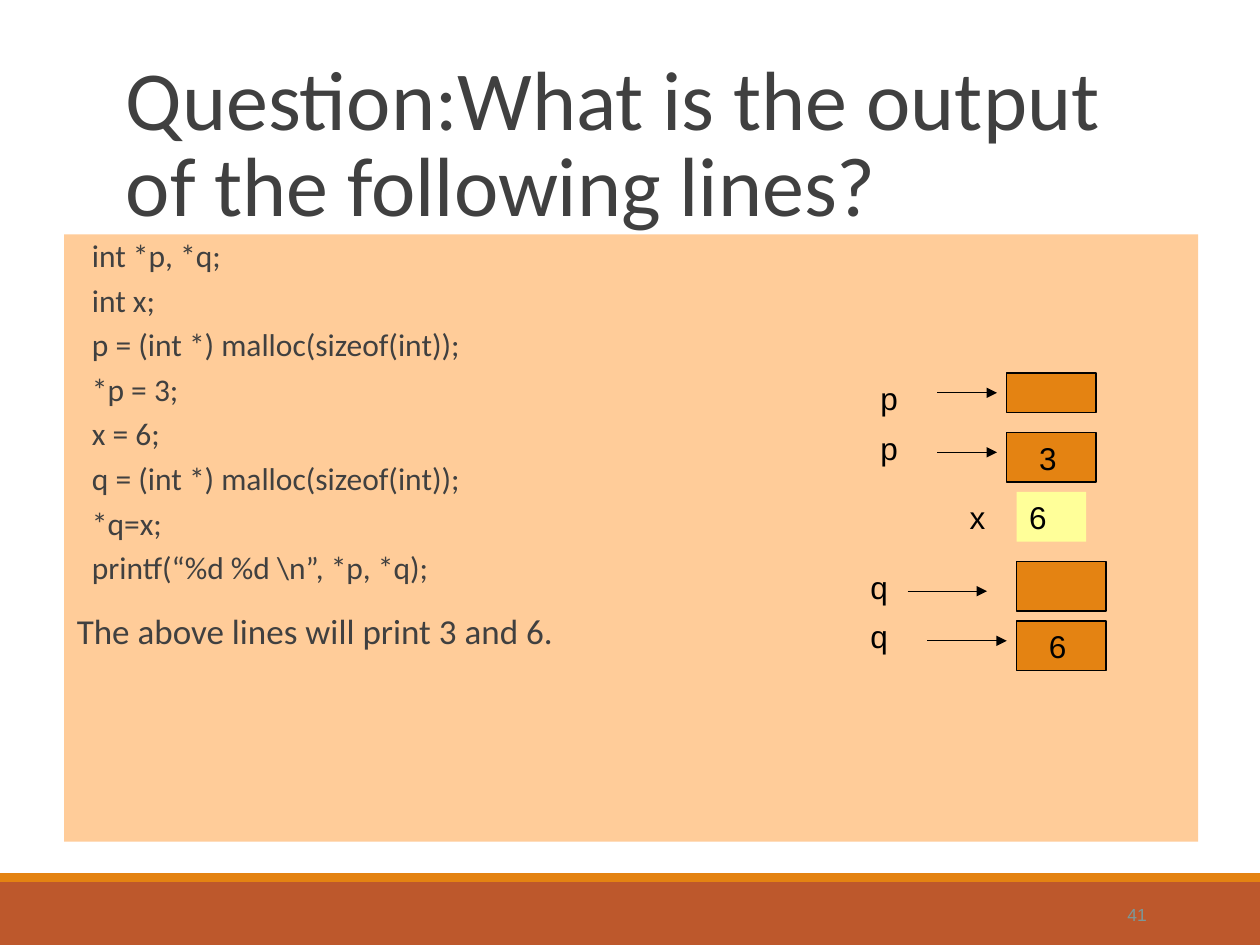
from lxml import etree
from pptx import Presentation, util as u
from pptx.dml.color import RGBColor
from pptx.enum import shapes, text
from pptx.oxml.ns import qn

COLORS = {
    "paper": "FFFFFF", "footer": "BD582C", "accent": "E48312", "panel": "FFCC99",
    "value": "FFFF99", "body": "404040", "number": "7B9899", "ink": "000000",
}
WIDTH, HEIGHT = u.Inches(10), u.Inches(7.5)
GRID_LEFT, GRID_TOP, CELL = u.Inches(6.81), u.Inches(2.96), u.Mm(2)
CODE = [
    "int *p, *q;",
    "int x;",
    "p = (int *) malloc(sizeof(int));",
    "*p = 3;",
    "x = 6;",
    "q = (int *) malloc(sizeof(int));",
    "*q=x;",
    "printf(“%d %d \\n”, *p, *q);",
]
ANSWER = "The above lines will print 3 and 6."
LABELS = [("p", 1, 0, 5), ("p", 1, 5, 5), ("3", 17, 6, 4), ("x", 10, 12, 6),
          ("q", 0, 19, 5), ("q", 0, 24, 5), ("6", 18, 25, 5)]
MEMORY_BOXES = [(15, 0, 4), (15, 6, 5), (16, 19, 5), (16, 25, 5)]
ARROWS = [(8, 14, 2), (8, 14, 8), (5, 13, 22), (7, 15, 27)]


def color(name):
    """Return the named colour."""
    return RGBColor.from_string(COLORS[name])


def share(left, top, width, height):
    """Turn percentages of the slide into a position and a size."""
    return [round(whole * part / 100) for whole, part in
            zip((WIDTH, HEIGHT, WIDTH, HEIGHT), (left, top, width, height))]


def cell(column, row):
    """Return the point at a column and row of the diagram grid."""
    return GRID_LEFT + column * CELL, GRID_TOP + row * CELL


def add_box(parent, area, fill, outlined=False):
    """Add a filled rectangle, with a thin outline if asked."""
    shape = parent.add_shape(shapes.MSO_SHAPE.RECTANGLE, *area)
    shape.shadow.inherit = False
    shape.fill.solid()
    shape.fill.fore_color.rgb = color(fill)
    if outlined:
        shape.line.color.rgb = color("ink")
        shape.line.width = u.Pt(0.75)
    else:
        shape.line.fill.background()
    return shape


def write(paragraph, words, size, name="Arial", ink="ink", align=text.PP_ALIGN.LEFT):
    """Fill a paragraph and set its font."""
    paragraph.text = words
    paragraph.alignment = align
    paragraph.font.size = u.Pt(size)
    paragraph.font.name = name
    paragraph.font.color.rgb = color(ink)


def add_text(parent, area, anchor, words, size, **style):
    """Add a wrapping text box with one paragraph."""
    frame = parent.add_textbox(*area).text_frame
    frame.word_wrap = True
    frame.vertical_anchor = anchor
    write(frame.paragraphs[0], words, size, **style)
    return frame.paragraphs[0]


def add_arrow(parent, start, end, row):
    """Add a horizontal arrow between two grid columns."""
    arrow = parent.add_connector(shapes.MSO_CONNECTOR.STRAIGHT,
                                 *cell(start, row), *cell(end, row))
    arrow.line.color.rgb = color("ink")
    arrow.line.width = u.Pt(0.75)
    etree.SubElement(arrow.line._get_or_add_ln(), qn("a:tailEnd"), type="triangle")
    etree.SubElement(arrow._element.spPr, qn("a:effectLst"))


def add_code_panel(slide):
    """Add the panel with the code lines and the answer."""
    frame = add_box(slide.shapes, share(5.1, 24.8, 90, 64.27), "panel").text_frame
    frame.word_wrap = True
    frame.vertical_anchor = text.MSO_ANCHOR.TOP
    frame.margin_left = frame.margin_right = 0
    for index, words in enumerate(CODE + [ANSWER]):
        is_code = index < len(CODE)
        paragraph = frame.add_paragraph() if index else frame.paragraphs[0]
        properties = paragraph._p.get_or_add_pPr()
        properties.set("marL", str(u.Inches(0.42 if is_code else 0.1)))
        properties.set("indent", str(u.Inches(-0.2 if is_code else 0)))
        paragraph.line_spacing = 0.9
        if index:
            paragraph.space_before = u.Pt(2 if is_code else 12)
        paragraph.space_after = u.Pt(4 if is_code else 2)
        write(paragraph, words, 18 if is_code else 20, "Calibri", "body")


def add_memory_diagram(slide):
    """Add the pointers and the memory they point to."""
    group = slide.shapes.add_group_shape().shapes
    for column, row, height in MEMORY_BOXES:
        add_box(group, (*cell(column, row), 9 * CELL, height * CELL), "accent", True)
    for arrow in ARROWS:
        add_arrow(group, *arrow)
    for words, column, row, width in LABELS:
        add_text(group, (*cell(column, row), width * CELL, 5 * CELL),
                 text.MSO_ANCHOR.TOP, words, 18)
    value = add_box(group, (*cell(16, 12), 7 * CELL, 5 * CELL), "value")
    value.text_frame.vertical_anchor = text.MSO_ANCHOR.TOP
    write(value.text_frame.paragraphs[0], "6", 18)


def main():
    """Build the slide and save it."""
    presentation = Presentation()
    presentation.slide_width, presentation.slide_height = WIDTH, HEIGHT
    slide = presentation.slides.add_slide(presentation.slide_layouts[6])
    slide.background.fill.solid()
    slide.background.fill.fore_color.rgb = color("paper")
    add_box(slide.shapes, share(0, 93.33, 100, 6.67), "footer")
    add_box(slide.shapes, share(0, 92.4, 100, 0.93), "accent")
    title = add_text(slide.shapes, share(9, 4.13, 82.5, 21.2), text.MSO_ANCHOR.BOTTOM,
                     "Question:What is the output of the following lines?", 48,
                     name="Calibri", ink="body")
    title.line_spacing = 0.85
    add_code_panel(slide)
    add_text(slide.shapes, share(81.2, 94.13, 10.8, 5.33), text.MSO_ANCHOR.MIDDLE,
             "41", 10, ink="number", align=text.PP_ALIGN.RIGHT)
    add_memory_diagram(slide)
    presentation.save("out.pptx")


if __name__ == "__main__":
    main()
